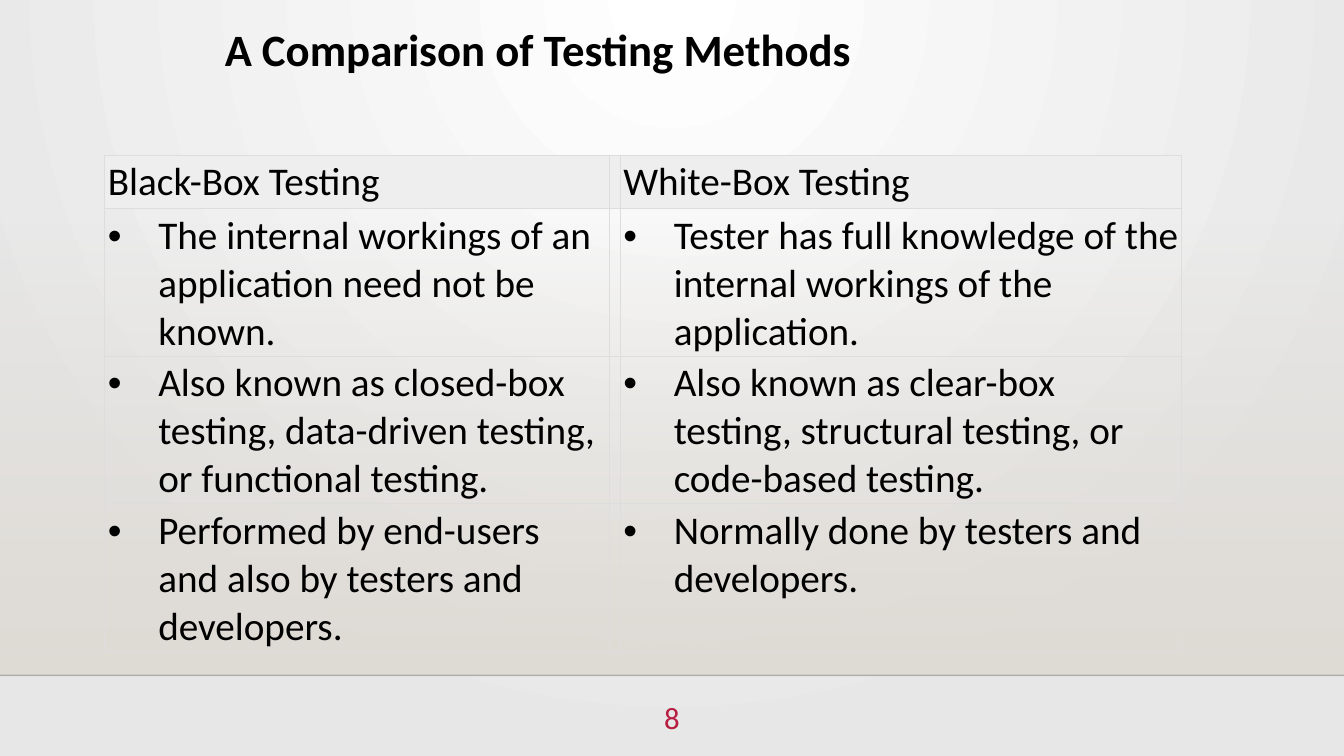
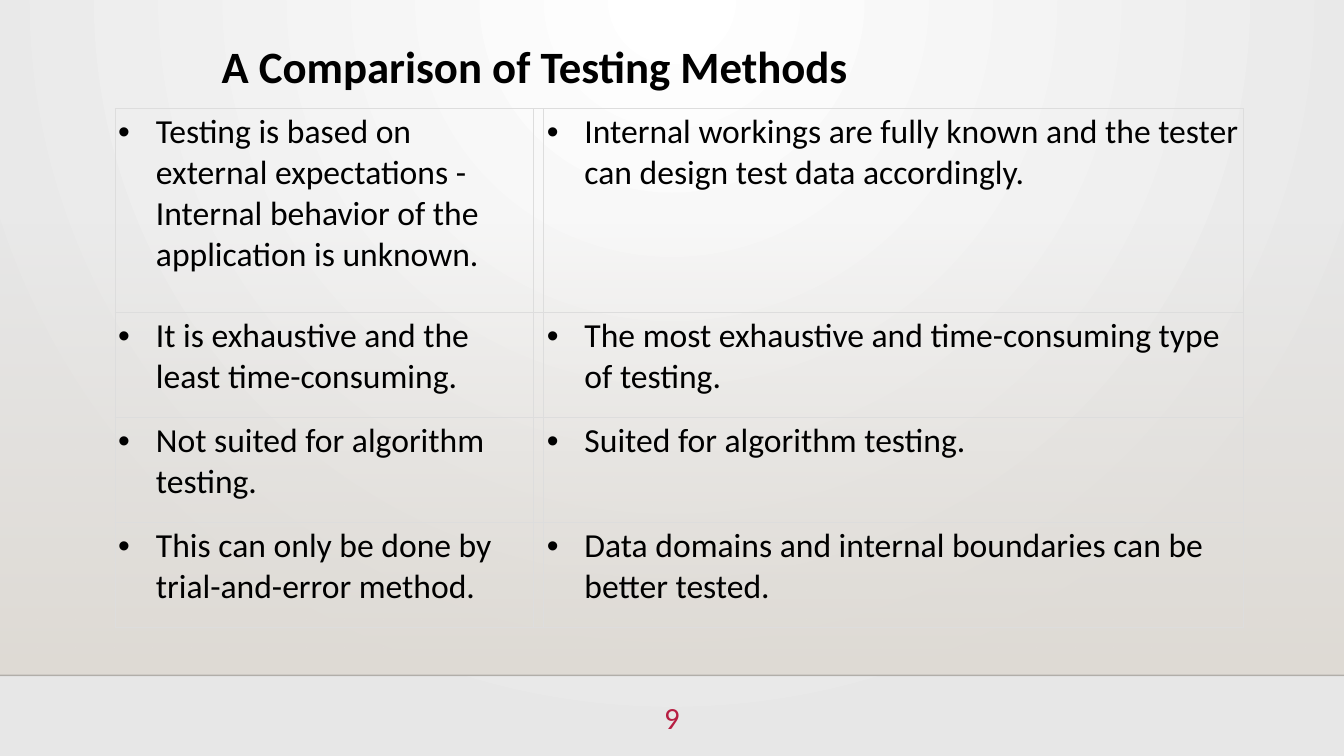
from pptx import Presentation
from pptx import util as u
from pptx.dml.color import RGBColor
from pptx.enum import shapes, text
from pptx.oxml import parse_xml
from pptx.oxml.ns import nsdecls, qn
from lxml import etree

FONT = "Calibri"
COLORS = {
    "ink": "000000",
    "accent": "B71E42",
    "light": "FFFFFF",
    "edge": "E7E7E7",
    "band": "DFDBD5",
    "rule": "000001",
    "border": "DDDDDD",
    "header": "EEEEEE",
}
TITLE = "A Comparison of Testing Methods"
FIRST_NUMBER = 8
SLIDE_WIDTH, SLIDE_HEIGHT = 33.87, 19.05
BAND_TOP, RULE_TOP = 5.61, 17.02
GUTTER = 0.23
INSET = 0.08

PAGES = [
    {
        "title_at": (5.41, 0.43),
        "table_at": (2.64, 3.91),
        "columns": (12.73, GUTTER, 14.15),
        "rows": (1.35, 3.7, 3.7, 3.7),
        "size": 28,
        "indent": 1.27,
        "header": ("Black-Box Testing", "White-Box Testing"),
        "points": [
            ("The internal workings of an application need not be known.",
             "Tester has full knowledge of the internal workings of the application."),
            ("Also known as closed-box testing, data-driven testing, or functional testing.",
             "Also known as clear-box testing, structural testing, or code-based testing."),
            ("Performed by end-users and also by testers and developers.",
             "Normally done by testers and developers."),
        ],
    },
    {
        "title_at": (5.33, 0.84),
        "table_at": (2.9, 2.74),
        "columns": (10.54, GUTTER, 17.65),
        "rows": (5.13, 2.65, 2.65, 2.65),
        "size": 24,
        "indent": 0.95,
        "header": None,
        "points": [
            ("Testing is based on external expectations - Internal behavior of the application is unknown.",
             "Internal workings are fully known and the tester can design test data accordingly."),
            ("It is exhaustive and the least time-consuming.",
             "The most exhaustive and time-consuming type of testing."),
            ("Not suited for algorithm testing.",
             "Suited for algorithm testing."),
            ("This can only be done by trial-and-error method.",
             "Data domains and internal boundaries can be better tested."),
        ],
    },
]


def color(name):
    return RGBColor.from_string(COLORS[name])


def gradient(start, end, direction, start_alpha=100):
    return parse_xml(
        f'<a:gradFill {nsdecls("a")} rotWithShape="1"><a:gsLst>'
        f'<a:gs pos="0"><a:srgbClr val="{COLORS[start]}">'
        f'<a:alpha val="{start_alpha * 1000}"/></a:srgbClr></a:gs>'
        f'<a:gs pos="100000"><a:srgbClr val="{COLORS[end]}"/></a:gs>'
        f'</a:gsLst>{direction}</a:gradFill>')


def style(para, size, name="ink", bold=False, align=text.PP_ALIGN.LEFT):
    para.alignment = align
    para.font.name = FONT
    para.font.size = u.Pt(size)
    para.font.bold = bold
    para.font.color.rgb = color(name)


def build_master(deck, page):
    master = deck.slide_master
    common = master.element.cSld
    old = common.find(qn("p:bg"))
    if old is not None:
        common.remove(old)
    background = parse_xml(
        f'<p:bg {nsdecls("p", "a")}><p:bgPr><a:effectLst/></p:bgPr></p:bg>')
    background[0].insert(0, gradient(
        "light", "edge",
        '<a:path path="circle"><a:fillToRect l="43000" r="43000" b="100000"/></a:path>'))
    common.insert(0, background)

    band = page.shapes.add_shape(
        shapes.MSO_SHAPE.RECTANGLE, 0, u.Cm(BAND_TOP),
        u.Cm(SLIDE_WIDTH), u.Cm(RULE_TOP - BAND_TOP))
    band.line.fill.background()
    band.shadow.inherit = False
    band.element.spPr.insert(
        2, gradient("band", "band", '<a:lin ang="5400000" scaled="0"/>', 0))

    rule = page.shapes.add_connector(
        shapes.MSO_CONNECTOR.STRAIGHT, 0, u.Cm(RULE_TOP),
        u.Cm(SLIDE_WIDTH), u.Cm(RULE_TOP))
    rule.line.width = u.Pt(1)
    rule.line.color.rgb = color("rule")
    tint = rule.element.spPr.find(".//" + qn("a:srgbClr"))
    etree.SubElement(tint, qn("a:alpha")).set("val", "20000")
    etree.SubElement(rule.element.spPr, qn("a:effectLst"))

    for position, shape in enumerate((band, rule)):
        shape.element.xpath(".//p:cNvPr")[0].set("id", str(100 + position))
        master.shapes.element.insert(2 + position, shape.element)


def add_title(page, left, top):
    title = page.shapes.title
    title.left, title.top = u.Cm(left), u.Cm(top)
    title.width, title.height = u.Cm(19.71), u.Cm(2.39)
    frame = title.text_frame
    frame.text = TITLE
    frame.word_wrap = True
    frame.auto_size = text.MSO_AUTO_SIZE.NONE
    frame.vertical_anchor = text.MSO_ANCHOR.TOP
    style(frame.paragraphs[0], 32, bold=True)


def add_number(page, number):
    width = 2.26
    box = page.shapes.add_textbox(
        u.Cm((SLIDE_WIDTH - width) / 2), u.Cm(17.48), u.Cm(width), u.Cm(1.4))
    frame = box.text_frame
    frame.word_wrap = True
    frame.text = str(number)
    style(frame.paragraphs[0], 22, "accent", align=text.PP_ALIGN.CENTER)


def add_bullet(para, indent):
    properties = para._p.get_or_add_pPr()
    properties.set("marL", str(u.Cm(indent)))
    properties.set("indent", str(-u.Cm(indent)))
    etree.SubElement(properties, qn("a:buFont")).set("typeface", "Arial")
    etree.SubElement(properties, qn("a:buChar")).set("char", "•")


def add_borders(cell):
    properties = cell._tc.get_or_add_tcPr()
    for position, side in enumerate(("lnL", "lnR", "lnT", "lnB")):
        properties.insert(position, parse_xml(
            f'<a:{side} {nsdecls("a")} w="{u.Pt(0.75)}"><a:solidFill>'
            f'<a:srgbClr val="{COLORS["border"]}"/></a:solidFill></a:{side}>'))


def fill_cell(cell, words, size, indent, is_header):
    cell.margin_left = cell.margin_right = u.Cm(INSET)
    cell.margin_top = cell.margin_bottom = u.Cm(INSET)
    if is_header:
        cell.fill.solid()
        cell.fill.fore_color.rgb = color("header")
    else:
        cell.fill.background()
    add_borders(cell)
    if words:
        cell.text = words
        para = cell.text_frame.paragraphs[0]
        style(para, size)
        if not is_header:
            add_bullet(para, indent)


def add_comparison(page, content):
    header = content["header"]
    lines = ([header] if header else []) + content["points"]
    columns, rows = content["columns"], content["rows"]
    left, top = content["table_at"]
    table = page.shapes.add_table(
        len(rows), len(columns), u.Cm(left), u.Cm(top),
        u.Cm(sum(columns)), u.Cm(sum(rows))).table
    table.first_row = bool(header)
    table.horz_banding = False
    for column, width in zip(table.columns, columns):
        column.width = u.Cm(width)
    for index, (row, height, (black, white)) in enumerate(zip(table.rows, rows, lines)):
        row.height = u.Cm(height)
        for cell, words in zip(row.cells, (black, "", white)):
            fill_cell(cell, words, content["size"], content["indent"],
                      bool(header) and index == 0)


def main():
    deck = Presentation()
    deck.slide_width, deck.slide_height = u.Cm(SLIDE_WIDTH), u.Cm(SLIDE_HEIGHT)
    title_only = deck.slide_layouts[5]
    for number, content in enumerate(PAGES, FIRST_NUMBER):
        page = deck.slides.add_slide(title_only)
        if number == FIRST_NUMBER:
            build_master(deck, page)
        add_title(page, *content["title_at"])
        add_number(page, number)
        add_comparison(page, content)
    deck.save("out.pptx")


if __name__ == "__main__":
    main()
